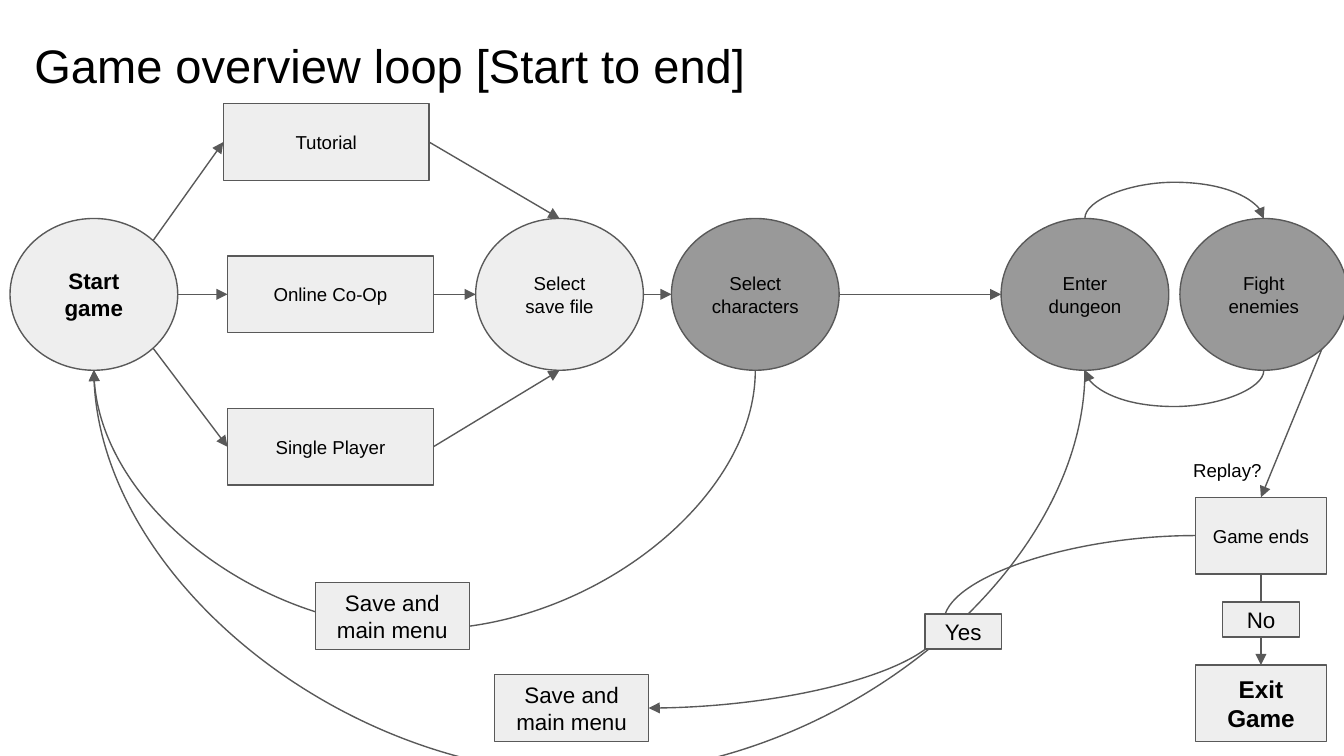
from dataclasses import dataclass

import pptx
import pptx.dml.color
import pptx.enum.shapes
import pptx.enum.text
import pptx.oxml
import pptx.oxml.ns
import pptx.util

Cm, Pt = pptx.util.Cm, pptx.util.Pt
SHAPE = pptx.enum.shapes.MSO_SHAPE
CONN = pptx.enum.shapes.MSO_CONNECTOR
ALIGN = pptx.enum.text.PP_ALIGN
ANCHOR = pptx.enum.text.MSO_ANCHOR
NS = pptx.oxml.ns.nsdecls("a")
LIGHT, DARK, GREY, BLACK = "EEEEEE", "999999", "595959", "000000"
Point = tuple[float, float]


@dataclass
class Node:
    """A labelled box or circle; lengths in centimetres."""
    text: str
    x: float
    y: float
    w: float
    h: float
    size: float = 10
    bold: bool = False
    fill: str = LIGHT
    kind: int = SHAPE.RECTANGLE

    def at(self, fx: float, fy: float) -> Point:
        """Point at the given fractions of the width and height."""
        return self.x + fx * self.w, self.y + fy * self.h


@dataclass
class Loop:
    """A curve above or below two points; the arrow enters the first one."""
    target: Point
    source: Point
    depth: float
    above: bool = False


def rgb(value: str) -> pptx.dml.color.RGBColor:
    return pptx.dml.color.RGBColor.from_string(value)


def format_text(sp, text: str, size: float, bold: bool, align, anchor) -> None:
    tf = sp.text_frame
    tf.word_wrap = True
    tf.auto_size = pptx.enum.text.MSO_AUTO_SIZE.NONE
    tf.vertical_anchor = anchor
    tf.margin_left = tf.margin_right = tf.margin_top = tf.margin_bottom = Cm(0.25)
    tf.text = text
    p = tf.paragraphs[0]
    p.alignment = align
    font = p.runs[0].font
    font.name, font.size, font.bold = "Arial", Pt(size), bold
    font.color.rgb = rgb(BLACK)


def draw_node(slide, node: Node) -> None:
    sp = slide.shapes.add_shape(
        node.kind, Cm(node.x), Cm(node.y), Cm(node.w), Cm(node.h))
    sp.shadow.inherit = False
    sp.fill.solid()
    sp.fill.fore_color.rgb = rgb(node.fill)
    sp.line.color.rgb = rgb(GREY)
    sp.line.width = Pt(0.75)
    format_text(sp, node.text, node.size, node.bold, ALIGN.CENTER, ANCHOR.MIDDLE)


def draw_connector(slide, kind, start: Point, end: Point, arrow: str = "tailEnd"):
    """Draw a line; headEnd puts the arrow at start, tailEnd at end."""
    cn = slide.shapes.add_connector(kind, *(Cm(v) for v in (*start, *end)))
    cn.line.color.rgb = rgb(GREY)
    cn.line.width = Pt(0.75)
    cn.line._get_or_add_ln().append(
        pptx.oxml.parse_xml(f'<a:{arrow} {NS} type="triangle"/>'))
    cn._element.spPr.append(pptx.oxml.parse_xml(f"<a:effectLst {NS}/>"))
    return cn


def set_bend(cn, ratio: float) -> None:
    """Place the middle of a curve at a ratio of the connector's width."""
    geom = cn._element.spPr.find(pptx.oxml.ns.qn("a:prstGeom"))
    for old in list(geom):
        geom.remove(old)
    geom.append(pptx.oxml.parse_xml(
        f'<a:avLst {NS}><a:gd name="adj1" fmla="val {round(ratio * 100000)}"/></a:avLst>'))


def draw_loop(slide, loop: Loop) -> None:
    thin = 0.01
    span = abs(loop.source[0] - loop.target[0])
    x = (loop.source[0] + loop.target[0] - thin) / 2
    y = loop.target[1] - span / 2
    cn = draw_connector(slide, CONN.CURVE, (x, y), (x + thin, y + span), "headEnd")
    xfrm = cn._element.spPr.find(pptx.oxml.ns.qn("a:xfrm"))
    xfrm.set("rot", str((90 if loop.above else 270) * 60000))
    xfrm.set("flipH", "1")
    set_bend(cn, loop.depth / thin)


def circle(text: str, x: float, fill: str = DARK, size: float = 10,
           bold: bool = False) -> Node:
    return Node(text, x, 4.13, 3.17, 2.87, size, bold, fill, SHAPE.OVAL)


start = circle("Start game", 0.19, LIGHT, 12, True)
save_file = circle("Select save file", 8.99, LIGHT)
characters = circle("Select characters", 12.69)
dungeon = circle("Enter dungeon", 18.92)
enemies = circle("Fight enemies", 22.3)
tutorial, coop, single = modes = [
    Node(text, x, 1.96 + 2.88 * i, 3.89, 1.45)
    for i, (text, x) in enumerate(
        [("Tutorial", 4.22), ("Online Co-Op", 4.3), ("Single Player", 4.3)])]
game_ends = Node("Game ends", 22.59, 9.4, 2.48, 1.45)
exit_game = Node("Exit Game", 22.59, 12.57, 2.48, 1.45, 13, True)
menu_left = Node("Save and main menu", 5.96, 11.01, 2.91, 1.27, 12)
menu_right = Node("Save and main menu", 9.35, 12.75, 2.91, 1.27, 12)
yes = Node("Yes", 17.48, 11.61, 1.45, 0.66, 12)
no = Node("No", 23.11, 11.38, 1.45, 0.66, 12)
nodes = [start, save_file, characters, dungeon, enemies, *modes,
         game_ends, exit_game, menu_left, menu_right, yes, no]

TOP, BOTTOM, LEFT, RIGHT = (0.5, 0), (0.5, 1), (0, 0.5), (1, 0.5)
UPPER_RIGHT, LOWER_RIGHT = (0.85, 0.15), (0.85, 0.85)
arrows = [
    (start, UPPER_RIGHT, tutorial, LEFT),
    (start, RIGHT, coop, LEFT),
    (start, LOWER_RIGHT, single, LEFT),
    (tutorial, RIGHT, save_file, TOP),
    (coop, RIGHT, save_file, LEFT),
    (single, RIGHT, save_file, BOTTOM),
    (save_file, RIGHT, characters, LEFT),
    (characters, RIGHT, dungeon, LEFT),
    (enemies, LOWER_RIGHT, game_ends, TOP),
    (game_ends, BOTTOM, exit_game, TOP),
]
loops = [
    Loop(dungeon.at(*BOTTOM), enemies.at(*BOTTOM), 0.69),
    Loop(enemies.at(*TOP), dungeon.at(*TOP), 0.69, above=True),
    Loop(start.at(*BOTTOM), dungeon.at(*BOTTOM), 7.64),
    Loop(start.at(*BOTTOM), characters.at(*BOTTOM), 4.9),
]

prs = pptx.Presentation()
prs.slide_width, prs.slide_height = Cm(25.4), Cm(14.29)
slide = prs.slides.add_slide(prs.slide_layouts[5])

title = slide.shapes.title
title.left, title.top, title.width, title.height = Cm(0.4), Cm(0.4), Cm(23.67), Cm(1.6)
format_text(title, "Game overview loop [Start to end]", 25.2, False,
            ALIGN.LEFT, ANCHOR.BOTTOM)

for loop in loops:
    draw_loop(slide, loop)
replay_curve = draw_connector(slide, CONN.CURVE, menu_right.at(*RIGHT),
                              game_ends.at(*LEFT), "headEnd")
set_bend(replay_curve, 0.54)
for source, out, target, into in arrows:
    draw_connector(slide, CONN.STRAIGHT, source.at(*out), target.at(*into))
for node in nodes:
    draw_node(slide, node)

replay = slide.shapes.add_textbox(Cm(22.3), Cm(8.43), Cm(2.08), Cm(0.94))
format_text(replay, "Replay?", 10, False, ALIGN.LEFT, ANCHOR.TOP)

prs.save("out.pptx")
